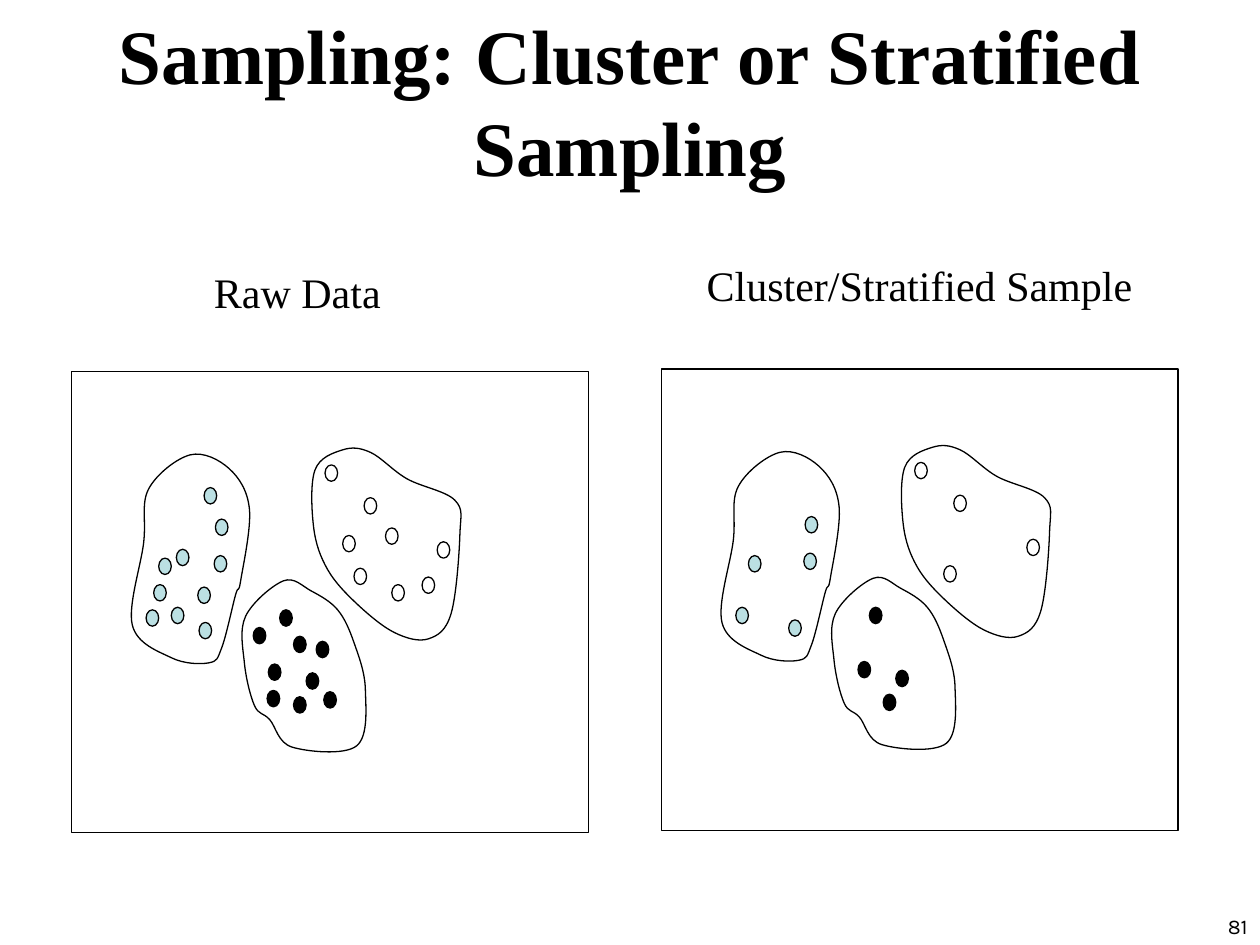
from lxml import etree
from pptx import Presentation
from pptx.dml.color import RGBColor
from pptx.enum.shapes import MSO_SHAPE
from pptx.enum.text import MSO_ANCHOR, MSO_AUTO_SIZE, PP_ALIGN
from pptx.oxml.ns import qn
from pptx.util import Pt

PX = 9144  # one px is a hundredth of an inch
BLACK = RGBColor(0x00, 0x00, 0x00)
WHITE = RGBColor(0xFF, 0xFF, 0xFF)
AQUA = RGBColor(0xBB, 0xE0, 0xE3)
SERIF = "Times New Roman"
SAMPLE_SHIFT = (468, -2)  # from the raw panel to the sample panel

# Each cluster: dot colour, dots kept in the sample, dots left out, outline
CLUSTERS = [
    (WHITE,
     [(289, 395), (281, 451), (347, 430), (258, 369)],
     [(306, 419), (272, 425), (335, 458), (311, 464)],
     [(361, 397), (365, 424), (358, 487), (340, 507), (313, 502), (283, 479),
      (260, 452), (249, 419), (250, 373), (272, 357), (294, 359), (323, 380)]),
    (BLACK,
     [(233, 553), (243, 534), (213, 527), (222, 484)],
     [(201, 498), (251, 509), (212, 548), (233, 505), (257, 549)],
     [(202, 560), (194, 526), (195, 489), (225, 461), (247, 469), (268, 484),
      (281, 510), (290, 547), (283, 592), (232, 593), (214, 571)]),
    (AQUA,
     [(116, 484), (126, 443), (158, 494), (170, 441), (171, 412)],
     [(136, 482), (122, 464), (157, 466), (140, 436), (162, 387)],
     [(187, 472), (176, 514), (166, 526), (136, 522), (105, 496), (114, 431),
      (118, 388), (151, 361), (182, 372), (198, 404), (191, 461)]),
]


def style(shape, fill=None):
    shape.shadow.inherit = False
    if fill is None:
        shape.fill.background()
    else:
        shape.fill.solid()
        shape.fill.fore_color.rgb = fill
    shape.line.color.rgb = BLACK
    shape.line.width = Pt(0.75)


def write(shape, text, align, **font_values):
    paragraph = shape.text_frame.paragraphs[0]
    paragraph.alignment = align
    run = paragraph.add_run()
    run.text = text
    run.font.color.rgb = BLACK
    for attribute, value in font_values.items():
        setattr(run.font, attribute, value)


presentation = Presentation()
presentation.slide_width, presentation.slide_height = 1000 * PX, 750 * PX
slide = presentation.slides.add_slide(presentation.slide_layouts[5])

# Title
title = slide.shapes.title
for attribute, value in {"left": 25, "top": 33, "width": 950, "height": 92}.items():
    setattr(title, attribute, value * PX)
title.text_frame.auto_size = MSO_AUTO_SIZE.NONE
title.text_frame.vertical_anchor = MSO_ANCHOR.MIDDLE
write(title, "Sampling: Cluster or Stratified Sampling", PP_ALIGN.CENTER,
      name=SERIF, size=Pt(44), bold=True)

# Raw data panel, then the sample panel with fewer dots
for is_sample, (dx, dy) in ((False, (0, 0)), (True, SAMPLE_SHIFT)):
    panel = slide.shapes.add_group_shape().shapes
    frame = panel.add_shape(MSO_SHAPE.RECTANGLE, (57 + dx) * PX, (295 + dy) * PX,
                            410 * PX, 366 * PX)
    style(frame)
    for colour, kept, left_out, outline in CLUSTERS:
        for x, y in kept if is_sample else kept + left_out:
            dot = panel.add_shape(MSO_SHAPE.FLOWCHART_CONNECTOR, (x + dx) * PX,
                                  (y + dy) * PX, 10 * PX, 13 * PX)
            style(dot, colour)

        # Smooth closed outline: each tangent follows the neighbouring points
        nodes = [((x + dx) * PX, (y + dy) * PX) for x, y in outline]
        curve_points = []
        for i, node in enumerate(nodes):
            before, after, beyond = (nodes[(i + step) % len(nodes)] for step in (-1, 1, 2))
            curve_points += [
                tuple(n + (a - b) // 6 for b, n, a in zip(before, node, after)),
                tuple(a - (c - n) // 6 for n, a, c in zip(node, after, beyond)),
                after,
            ]
        builder = panel.build_freeform(*nodes[0])
        builder.add_line_segments(curve_points, close=True)
        boundary = builder.convert_to_shape()
        style(boundary)
        # Turn every three line segments into one cubic curve
        segments = list(boundary.element.iter(qn("a:lnTo")))[:len(curve_points)]
        for first in range(0, len(segments), 3):
            curve = etree.Element(qn("a:cubicBezTo"))
            segments[first].addprevious(curve)
            for segment in segments[first:first + 3]:
                curve.append(segment[0])
                segment.getparent().remove(segment)

# Panel headings
for heading, (x, y, width) in {"Raw Data": (160, 207, 160),
                               "Cluster/Stratified Sample": (551, 201, 358)}.items():
    label = slide.shapes.add_textbox(x * PX, y * PX, width * PX, 50 * PX)
    label.text_frame.word_wrap = False
    label.text_frame.auto_size = MSO_AUTO_SIZE.SHAPE_TO_FIT_TEXT
    write(label, heading, PP_ALIGN.LEFT, name=SERIF, size=Pt(24))

# Page number
page_number = slide.shapes.add_textbox(792 * PX, 708 * PX, 208 * PX, 42 * PX)
page_number.text_frame.word_wrap = True
page_number.text_frame.vertical_anchor = MSO_ANCHOR.BOTTOM
write(page_number, "81", PP_ALIGN.RIGHT, name="Karla", size=Pt(12))

presentation.save("out.pptx")
